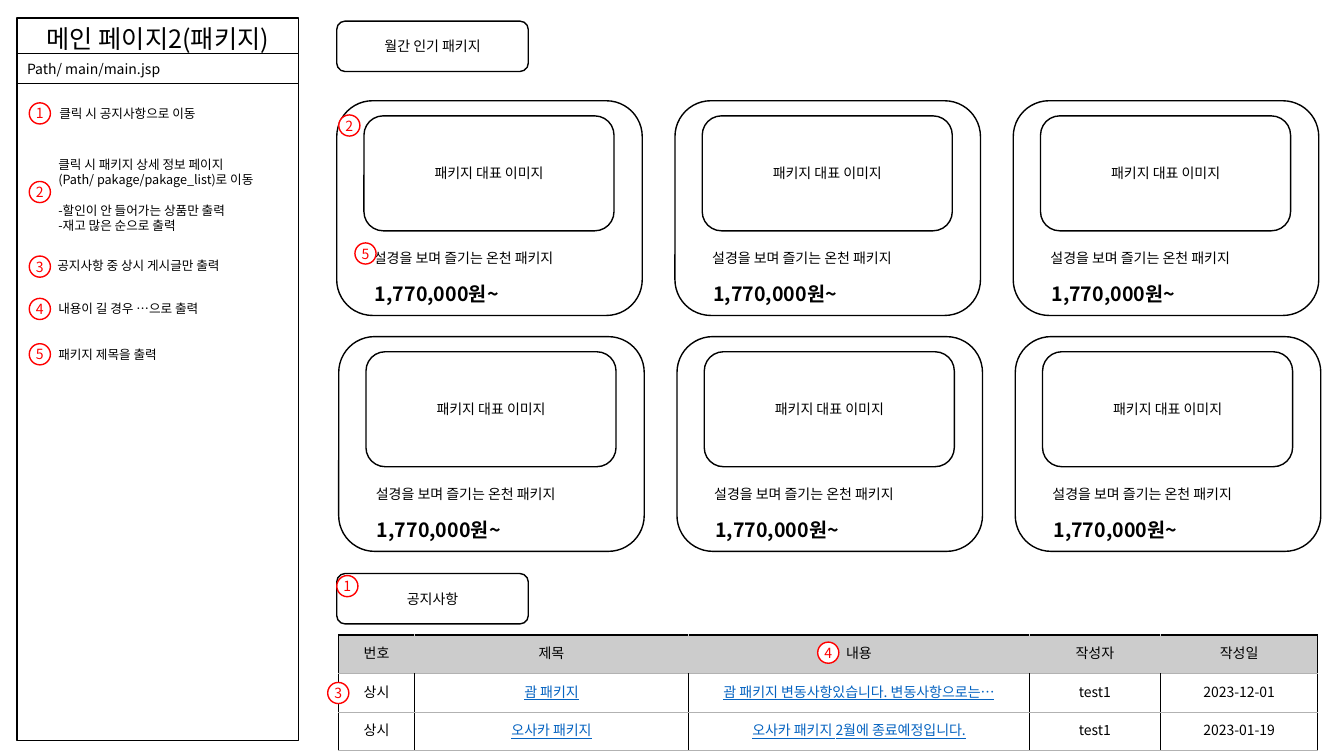
from dataclasses import dataclass

from lxml import etree
from pptx import Presentation
from pptx.dml.color import RGBColor
from pptx.enum import shapes, text
from pptx.oxml.ns import qn
from pptx.util import Inches, Pt

FONT = "Noto Sans CJK KR"
LINE_HEIGHT = 1.2
COLORS = {"ink": "000000", "paper": "FFFFFF", "marker": "FF0000", "link": "0563C1",
          "header": "CCCCCC", "rule": "B2B2B2"}
RECT = shapes.MSO_SHAPE.RECTANGLE
ROUND = shapes.MSO_SHAPE.ROUNDED_RECTANGLE
OVAL = shapes.MSO_SHAPE.OVAL
LEFT, CENTER = text.PP_ALIGN.LEFT, text.PP_ALIGN.CENTER
MIDDLE = text.MSO_ANCHOR.MIDDLE


@dataclass
class Box:
    x: float
    y: float
    w: float
    h: float

    def emu(self) -> list:
        return [Inches(v) for v in (self.x, self.y, self.w, self.h)]


@dataclass
class Note:
    x: float
    y: float
    h: float
    lines: list


@dataclass
class Marker:
    number: int
    x: float
    y: float


NOTES = [
    Note(0.49, 1.0, 0.25, ["클릭 시 공지사항으로 이동"]),
    Note(0.48, 1.51, 0.86, ["클릭 시 패키지 상세 정보 페이지", "(Path/ pakage/pakage_list)로 이동",
                            "-할인이 안 들어가는 상품만 출력", "-재고 많은 순으로 출력"]),
    Note(0.47, 2.51, 0.25, ["공지사항 중 상시 게시글만 출력"]),
    Note(0.48, 2.94, 0.25, ["내용이 길 경우 …으로 출력"]),
    Note(0.48, 3.39, 0.25, ["패키지 제목을 출력"]),
]
LEGEND_TOPS = [1.02, 1.8, 2.54, 2.96, 3.41]
MARKERS = [Marker(n, 0.29, y) for n, y in enumerate(LEGEND_TOPS, 1)] + [
    Marker(1, 3.34, 5.71), Marker(2, 3.36, 1.14), Marker(3, 3.25, 6.77),
    Marker(4, 8.11, 6.37), Marker(5, 3.52, 2.41)]
COLUMN_WIDTHS = [0.75, 2.72, 3.38, 1.3, 1.56]
LINK_COLUMNS = (1, 2)
NOTICES = [
    ["번호", "제목", "내용", "작성자", "작성일"],
    ["상시", "괌 패키지", "괌 패키지 변동사항있습니다. 변동사항으로는…", "test1", "2023-12-01"],
    ["상시", "오사카 패키지", "오사카 패키지 2월에 종료예정입니다.", "test1", "2023-01-19"],
]


def rgb(name: str) -> RGBColor:
    return RGBColor.from_string(COLORS[name])


def write(tf, lines: list, size: float, align=LEFT, color: str = "ink",
          bold: bool = False, underline: bool = False) -> None:
    tf.text = "\n".join(lines)
    for p in tf.paragraphs:
        p.alignment = align
        p.line_spacing = Pt(size * LINE_HEIGHT)
        for r in p.runs:
            r.font.name = FONT
            r.font.size = Pt(size)
            r.font.bold = bold
            r.font.underline = underline
            r.font.color.rgb = rgb(color)
            ea = etree.SubElement(r.font._element, qn("a:ea"))
            ea.set("typeface", FONT)


def add_outline(parent, kind, box: Box, label: str = "", size: float = 10,
                align=CENTER, color: str = "ink", filled: bool = True):
    """Draw an outlined shape whose line and label share one colour."""
    sp = parent.add_shape(kind, *box.emu())
    sp.shadow.inherit = False
    if filled:
        sp.fill.solid()
        sp.fill.fore_color.rgb = rgb("paper")
    else:
        sp.fill.background()
    sp.line.color.rgb = rgb(color)
    sp.line.width = Pt(1)
    if label:
        sp.text_frame.vertical_anchor = MIDDLE
        write(sp.text_frame, [label], size, align, color)
    return sp


def add_text(parent, box: Box, lines: list, size: float, bold: bool = False):
    tf = parent.add_textbox(*box.emu()).text_frame
    tf.word_wrap = True
    write(tf, lines, size, bold=bold)
    return tf


def add_card(parent, x: float, y: float) -> None:
    group = parent.add_group_shape().shapes
    add_outline(group, ROUND, Box(x, y, 3.03, 2.13))
    add_outline(group, ROUND, Box(x + 0.27, y + 0.15, 2.48, 1.14), "패키지 대표 이미지",
                filled=False)
    add_text(group, Box(x + 0.27, y + 1.43, 2.52, 0.21), ["설경을 보며 즐기는 온천 패키지"], 10)
    add_text(group, Box(x + 0.28, y + 1.75, 2.52, 0.26), ["1,770,000원~"], 14, bold=True)


def add_marker(parent, marker: Marker) -> None:
    sp = add_outline(parent, OVAL, Box(marker.x, marker.y, 0.21, 0.21),
                     str(marker.number), color="marker")
    tf = sp.text_frame
    tf.margin_left = tf.margin_right = tf.margin_top = tf.margin_bottom = 0
    tf.word_wrap = False


def set_borders(cell, **sides: str) -> None:
    """Give each side (L, R, T, B) a one-point line; lines precede the fill."""
    props = cell._tc.get_or_add_tcPr()
    for i, (side, color) in enumerate(sides.items()):
        ln = etree.Element(qn(f"a:ln{side}"), w=str(Pt(1)))
        fill = etree.SubElement(ln, qn("a:solidFill"))
        etree.SubElement(fill, qn("a:srgbClr"), val=COLORS[color])
        props.insert(i, ln)


def add_notice_table(parent) -> None:
    box = Box(3.36, 6.3, sum(COLUMN_WIDTHS), 1.15)
    table = parent.add_table(len(NOTICES), len(COLUMN_WIDTHS), *box.emu()).table
    table.first_row = table.horz_banding = False
    for column, width in zip(table.columns, COLUMN_WIDTHS):
        column.width = Inches(width)
    last = len(COLUMN_WIDTHS) - 1
    for i, row in enumerate(NOTICES):
        header = i == 0
        for j, value in enumerate(row):
            cell = table.cell(i, j)
            cell.vertical_anchor = MIDDLE
            linked = not header and j in LINK_COLUMNS
            write(cell.text_frame, [value], 10, CENTER, "link" if linked else "ink",
                  underline=linked)
            cell.fill.solid()
            cell.fill.fore_color.rgb = rgb("header" if header else "paper")
            set_borders(cell,
                        L="header" if header and j > 0 else "ink",
                        R="header" if header and j < last else "ink",
                        T="ink" if header else "rule", B="rule")


def main() -> None:
    prs = Presentation()
    prs.slide_width, prs.slide_height = Inches(13.33), Inches(7.5)
    s = prs.slides.add_slide(prs.slide_layouts[6]).shapes

    add_outline(s, RECT, Box(0.17, 0.82, 2.79, 6.53))
    add_outline(s, RECT, Box(0.17, 0.18, 2.79, 0.41), "메인 페이지2(패키지)", 18)
    add_outline(s, RECT, Box(0.17, 0.53, 2.79, 0.3), "Path/ main/main.jsp", align=LEFT)
    for note in NOTES:
        tf = add_text(s, Box(note.x, note.y, 2.76, note.h), note.lines, 9)
        if len(note.lines) > 2:
            tf.paragraphs[2].space_before = Pt(9 * LINE_HEIGHT)

    for row in range(2):
        for col in range(3):
            add_card(s, 3.34 + 3.355 * col + 0.02 * row, 1 + 2.34 * row)
    for label, top in (("월간 인기 패키지", 0.21), ("공지사항", 5.69)):
        add_outline(s, ROUND, Box(3.34, top, 1.9, 0.5), label, filled=False)
    add_notice_table(s)
    for marker in MARKERS:
        add_marker(s, marker)

    prs.save("out.pptx")


if __name__ == "__main__":
    main()
